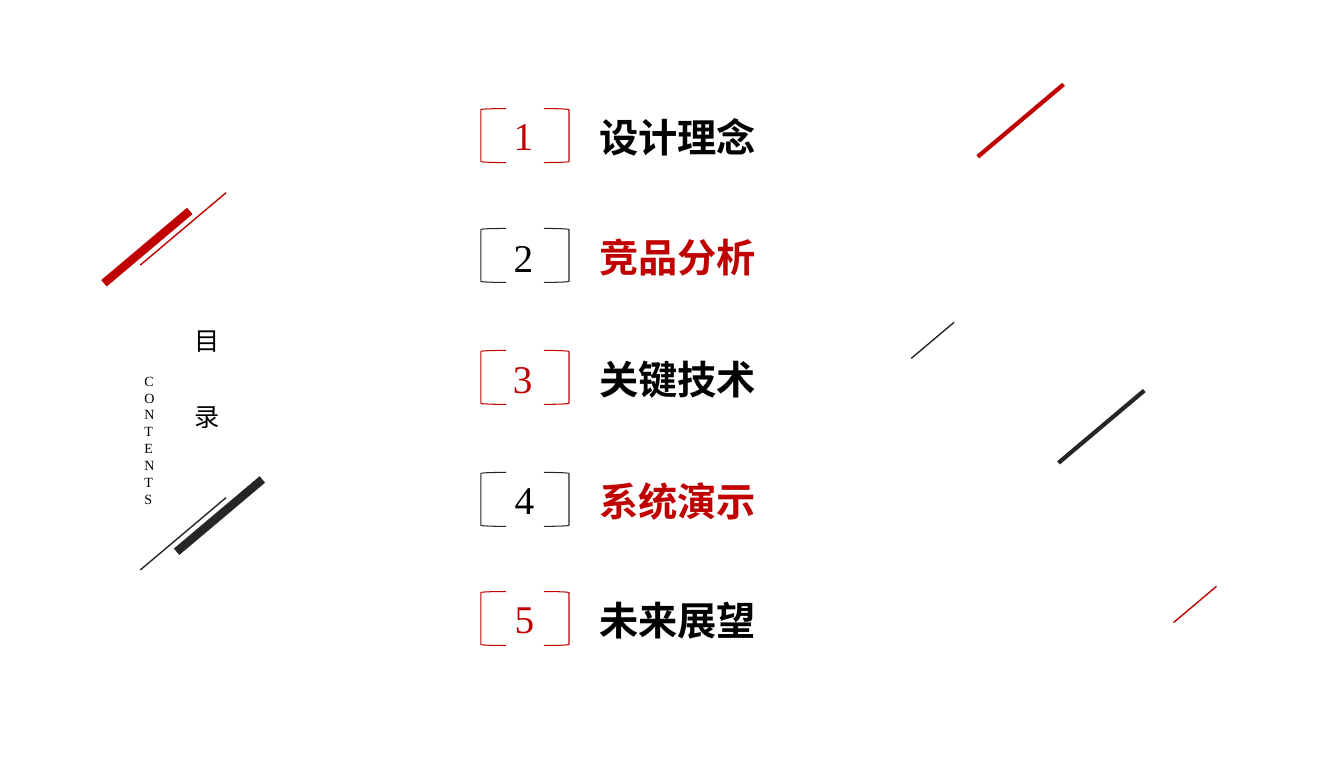
import pptx
import pptx.dml.color
import pptx.enum.shapes
import pptx.enum.text
import pptx.oxml.ns
import pptx.util
from dataclasses import dataclass
from lxml import etree

Pt = pptx.util.Pt
Kind = pptx.enum.shapes.MSO_SHAPE
Link = pptx.enum.shapes.MSO_CONNECTOR
Text = pptx.enum.text


@dataclass(frozen=True)
class Theme:
    font: str = "Times New Roman"
    red: str = "C00000"
    dark: str = "262626"
    black: str = "000000"
    large: int = 28
    title: int = 18
    small: int = 10


theme = Theme()

# Content: label, bracket top, then left and top of the digit
topics = [
    ("设计理念", 77.5, 362.9, 75.6),
    ("竞品分析", 163, 362.9, 162.7),
    ("关键技术", 250, 362.4, 249.1),
    ("系统演示", 337, 363.6, 335.5),
    ("未来展望", 422, 363.6, 420.5),
]
title_lines = ["目", "录"]
side_word = "CONTENTS"

# Slanted strokes: left, top, scale, weight, colour
pairs = [
    [(74.2, 150.5, 1, 6, theme.red), (100.1, 137.5, 1, 1, theme.red)],
    [(126, 342, 1, 6, theme.dark), (100.1, 355, 1, 1, theme.dark)],
]
strokes = [
    (697.7, 60.2, 1, 3, theme.red),
    (650.2, 229.9, 0.5, 1, theme.dark),
    (837.4, 418.3, 0.5, 1, theme.red),
    (755.3, 278.6, 1, 3, theme.dark),
]
stroke_w, stroke_h = 61.2, 51.6
arm_w, arm_h = 18, 38.5
left_arm, right_arm = 343.2, 388
label_left, label_w = 424, 124


def paint(hue):
    return pptx.dml.color.RGBColor.from_string(hue)


def draw_stroke(home, left, top, scale, weight, hue):
    line = home.add_connector(
        Link.STRAIGHT, Pt(left + stroke_w * scale), Pt(top),
        Pt(left), Pt(top + stroke_h * scale))
    line.line.color.rgb = paint(hue)
    line.line.width = Pt(weight)
    etree.SubElement(line._element.spPr, pptx.oxml.ns.qn("a:effectLst"))


def draw_arm(home, kind, left, top, hue):
    arm = home.add_shape(kind, Pt(left), Pt(top), Pt(arm_w), Pt(arm_h))
    arm.adjustments[0] = 0.04
    arm.shadow.inherit = False
    arm.fill.background()
    arm.line.color.rgb = paint(hue)
    arm.line.width = Pt(0.75)


def fill_text(box, lines, size, hue, bold=False, wrap=False, space=None):
    frame = box.text_frame
    frame.margin_left = frame.margin_right = Pt(3.6)
    frame.margin_top = frame.margin_bottom = Pt(3.6)
    frame.word_wrap = wrap
    frame.auto_size = Text.MSO_AUTO_SIZE.SHAPE_TO_FIT_TEXT
    frame.vertical_anchor = Text.MSO_ANCHOR.TOP
    for spot, words in enumerate(lines):
        para = frame.add_paragraph() if spot else frame.paragraphs[0]
        para.alignment = Text.PP_ALIGN.LEFT
        if space:
            para.line_spacing = space
        run = para.add_run()
        run.text = words
        run.font.name = theme.font
        run.font.size = Pt(size)
        run.font.bold = bold
        run.font.color.rgb = paint(hue)


def add_text(home, left, top, width, height, words, size, hue, **style):
    box = home.add_textbox(Pt(left), Pt(top), Pt(width), Pt(height))
    fill_text(box, [words], size, hue, **style)


def main():
    deck = pptx.Presentation()
    deck.slide_width, deck.slide_height = Pt(959), Pt(540)
    slide = deck.slides.add_slide(deck.slide_layouts[5])
    shapes = slide.shapes

    # Title and side word
    title = shapes.title
    title.left, title.top = Pt(135.4), Pt(196)
    title.width, title.height = Pt(25.2), Pt(107.3)
    fill_text(title, title_lines, theme.title, theme.black, space=2.5)
    add_text(shapes, 99.4, 262, 18, 104.4, side_word, theme.small,
             theme.black, wrap=True)

    # Slanted strokes
    for pair in pairs:
        group = shapes.add_group_shape().shapes
        for stroke in pair:
            draw_stroke(group, *stroke)
    for stroke in strokes:
        draw_stroke(shapes, *stroke)

    # Topics: odd rows have red frames, even rows have red labels
    for count, (label, top, digit_left, digit_top) in enumerate(topics, 1):
        odd = count % 2 == 1
        frame_hue = theme.red if odd else theme.dark
        digit_hue = theme.red if odd else theme.black
        label_hue = theme.black if odd else theme.red
        group = shapes.add_group_shape().shapes
        add_text(group, digit_left, digit_top, 21.6, 41, str(count),
                 theme.large, digit_hue)
        draw_arm(group, Kind.LEFT_BRACKET, left_arm, top, frame_hue)
        draw_arm(group, Kind.RIGHT_BRACKET, right_arm, top, frame_hue)
        add_text(group, label_left, top, label_w, 41, label,
                 theme.large, label_hue, bold=True)

    deck.save("out.pptx")


if __name__ == "__main__":
    main()
